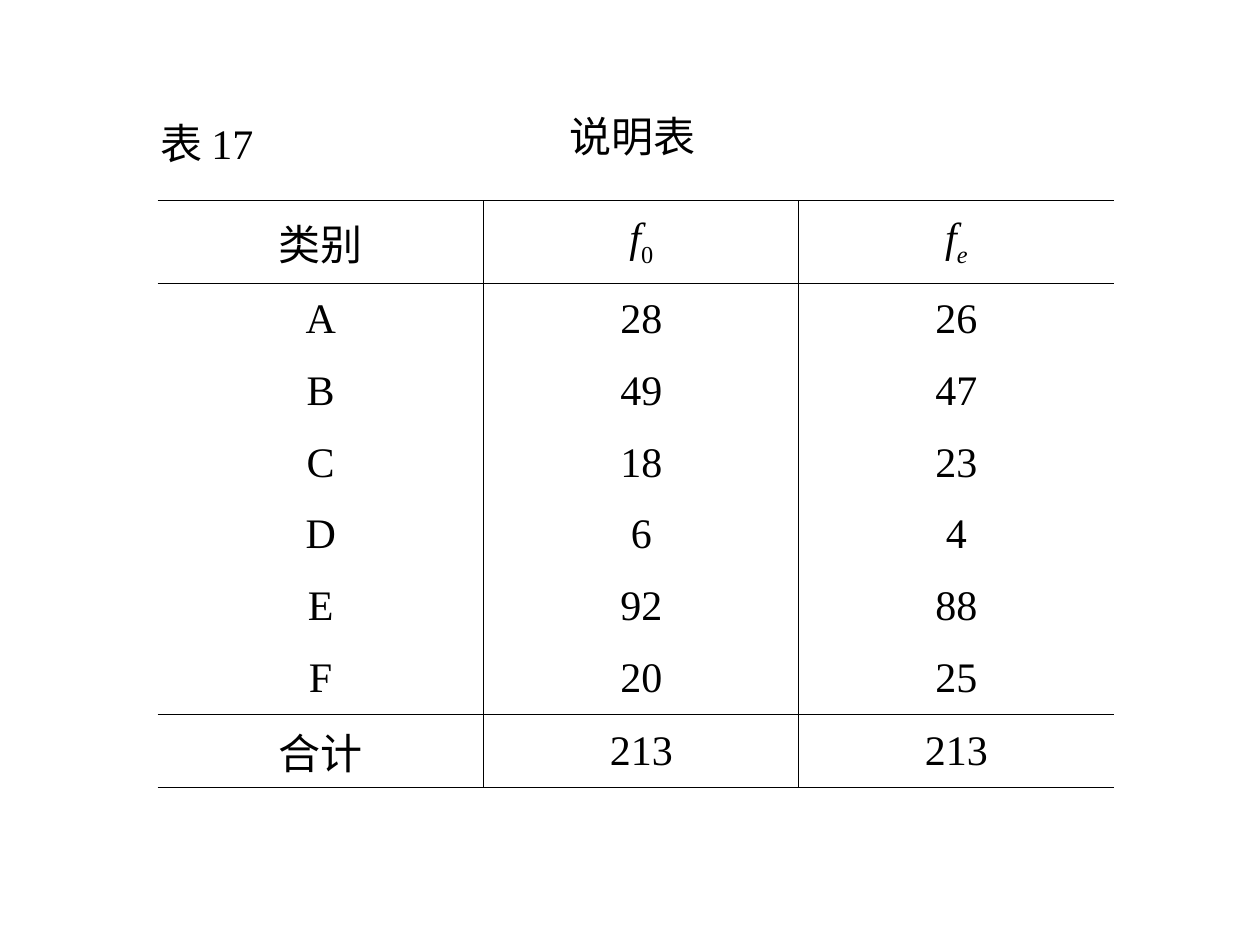
from dataclasses import dataclass

from lxml import etree
from pptx import Presentation
from pptx import util as u
from pptx.dml.color import RGBColor
from pptx.enum import text as t
from pptx.oxml.ns import qn


@dataclass(frozen=True)
class Theme:
    ink: str = "000000"
    font: str = "Times New Roman"
    size: float = 24
    rule_width: float = 0.45


theme = Theme()


def write_text(frame, *runs, align=t.PP_ALIGN.LEFT, anchor=t.MSO_ANCHOR.MIDDLE):
    """Fill the first paragraph; each run is (text, italic, subscript)."""
    frame.word_wrap = True
    frame.vertical_anchor = anchor
    paragraph = frame.paragraphs[0]
    paragraph.alignment = align
    paragraph.space_before = u.Pt(0)
    for content, italic, subscript in runs:
        run = paragraph.add_run()
        run.text = content
        run.font.name = theme.font
        run.font.size = u.Pt(theme.size)
        run.font.bold = False
        run.font.italic = italic
        run.font.color.rgb = RGBColor.from_string(theme.ink)
        if subscript:
            run._r.get_or_add_rPr().set("baseline", "-25000")


def set_borders(cell, **visible):
    properties = cell._tc.get_or_add_tcPr()
    for index, side in enumerate("LRTB"):
        line = etree.Element(qn(f"a:ln{side}"), w=str(u.Pt(theme.rule_width)))
        if visible[side]:
            fill = etree.SubElement(line, qn("a:solidFill"))
            etree.SubElement(fill, qn("a:srgbClr"), val=theme.ink)
        else:
            etree.SubElement(line, qn("a:noFill"))
        properties.insert(index, line)


presentation = Presentation()
presentation.slide_width = u.Inches(10)
presentation.slide_height = u.Inches(7.5)
slide = presentation.slides.add_slide(presentation.slide_layouts[5])

title = slide.shapes.title
title.left, title.top = u.Inches(1.17), u.Inches(0.92)
title.width, title.height = u.Inches(1.67), u.Inches(0.42)
write_text(title.text_frame, ("表 17", False, False))
title.text_frame.auto_size = t.MSO_AUTO_SIZE.NONE

rows = [
    ("类别", "f0", "fe"),
    ("A", "28", "26"),
    ("B", "49", "47"),
    ("C", "18", "23"),
    ("D", "6", "4"),
    ("E", "92", "88"),
    ("F", "20", "25"),
    ("合计", "213", "213"),
]
column_widths = [2.59, 2.5, 2.5]
row_heights = [0.66] + [0.57] * (len(rows) - 1)
last_row, last_column = len(rows) - 1, len(column_widths) - 1

table = slide.shapes.add_table(
    len(rows), len(column_widths), u.Inches(1.25), u.Inches(1.59),
    u.Inches(sum(column_widths)), u.Inches(sum(row_heights)),
).table
table.first_row = False
table.horz_banding = False
for column, width in zip(table.columns, column_widths):
    column.width = u.Inches(width)

for row_index, (values, height) in enumerate(zip(rows, row_heights)):
    table.rows[row_index].height = u.Inches(height)
    for column_index, value in enumerate(values):
        cell = table.cell(row_index, column_index)
        cell.fill.background()
        cell.vertical_anchor = t.MSO_ANCHOR.MIDDLE
        if row_index == 0 and column_index > 0:
            symbol, index = value
            runs = [(symbol, True, False), (index, index.isalpha(), True)]
        else:
            runs = [(value, False, False)]
        write_text(cell.text_frame, *runs, align=t.PP_ALIGN.CENTER)
        set_borders(
            cell,
            L=column_index > 0,
            R=column_index < last_column,
            T=row_index in (0, 1, last_row),
            B=row_index in (0, last_row - 1, last_row),
        )

caption = slide.shapes.add_textbox(
    u.Inches(4.42), u.Inches(0.83), u.Inches(2.25), u.Inches(0.5))
write_text(caption.text_frame, ("说明表", False, False), anchor=t.MSO_ANCHOR.TOP)
caption.text_frame.auto_size = t.MSO_AUTO_SIZE.SHAPE_TO_FIT_TEXT

presentation.save("out.pptx")
